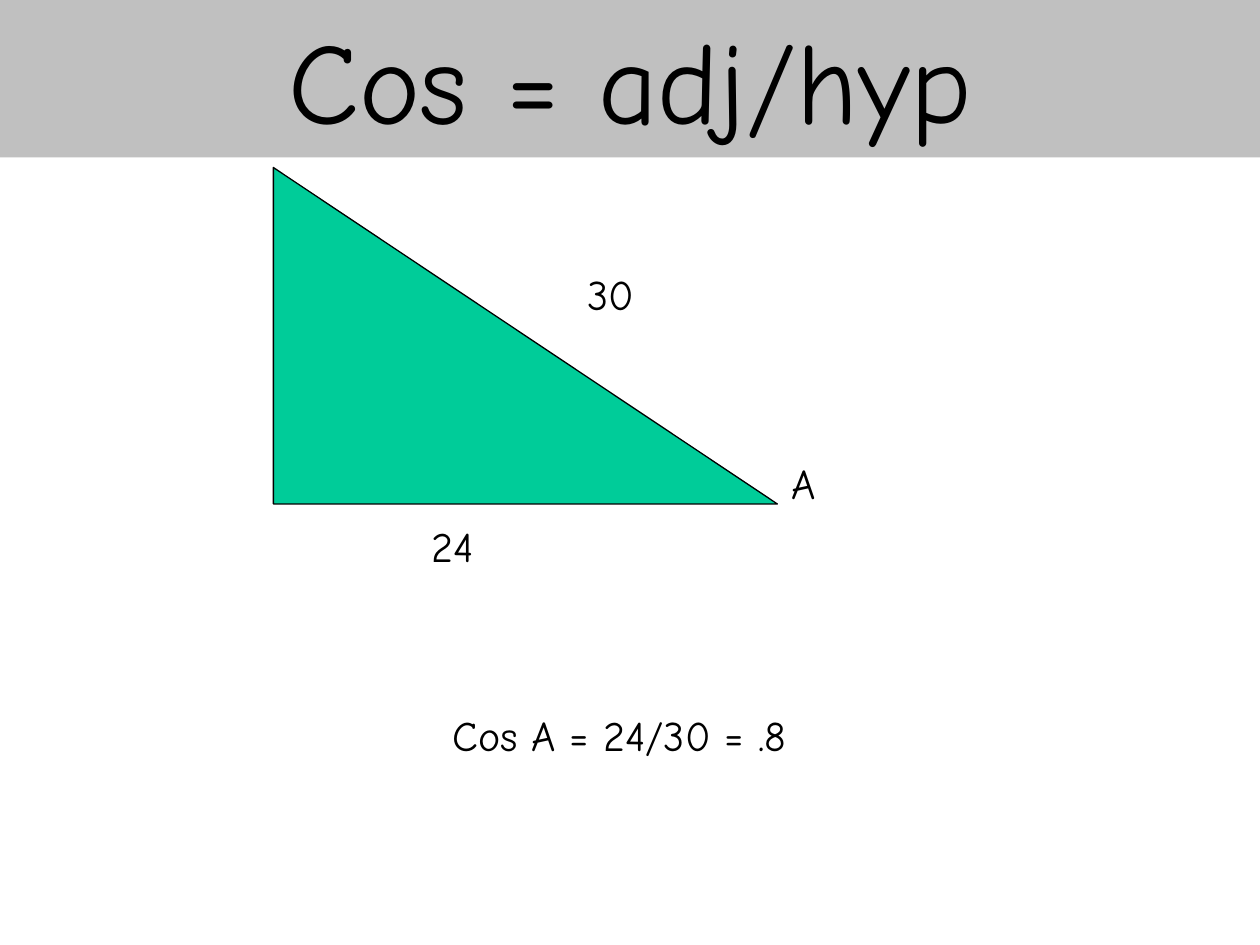
from dataclasses import dataclass

import pptx
import pptx.util
from pptx.dml.color import RGBColor
from pptx.enum.shapes import MSO_SHAPE
from pptx.enum.text import MSO_ANCHOR, PP_ALIGN
from pptx.util import Inches


@dataclass(frozen=True)
class Theme:
    font: str = "Comic Neue"
    ink: RGBColor = RGBColor(0, 0, 0)
    band: RGBColor = RGBColor(0xC0, 0xC0, 0xC0)
    green: RGBColor = RGBColor(0, 0xCC, 0x99)
    head: int = 66
    body: int = 24


THEME = Theme()


def write(frame, text, size):
    para = frame.paragraphs[0]
    para.text = text
    para.alignment = PP_ALIGN.CENTER
    para.font.name = THEME.font
    para.font.size = pptx.util.Pt(size)
    para.font.color.rgb = THEME.ink


def block(slide, kind, box, fill):
    shape = slide.shapes.add_shape(kind, *map(Inches, box))
    shape.shadow.inherit = False
    shape.fill.solid()
    shape.fill.fore_color.rgb = fill
    return shape


def label(slide, text, box):
    frame = slide.shapes.add_textbox(*map(Inches, box)).text_frame
    frame.word_wrap = True
    write(frame, text, THEME.body)


def title(slide, text, box):
    shape = block(slide, MSO_SHAPE.RECTANGLE, box, THEME.band)
    shape.line.fill.background()
    frame = shape.text_frame
    frame.word_wrap = True
    frame.vertical_anchor = MSO_ANCHOR.MIDDLE
    write(frame, text, THEME.head)


def figure(slide, box):
    """Right triangle with its side and angle labels."""
    left, top, wide, high = box
    shape = block(slide, MSO_SHAPE.RIGHT_TRIANGLE, box, THEME.green)
    shape.line.color.rgb = THEME.ink
    shape.line.width = pptx.util.Pt(0.75)
    marks = (
        ("30", 2.08, 0.75, 1.19),
        ("24", 0.83, high + 0.08, 1.19),
        ("A", wide - 0.09, 2.25, 0.6),
    )
    for text, x, y, width in marks:
        label(slide, text, (left + x, top + y, width, 0.7))


def main():
    deck = pptx.Presentation()
    deck.slide_width = Inches(10)
    deck.slide_height = Inches(7.5)
    slide = deck.slides.add_slide(deck.slide_layouts[6])
    title(slide, "Cos = adj/hyp", (0, 0, 10, 1.25))
    figure(slide, (2.17, 1.33, 4, 2.67))
    label(slide, "Cos A = 24/30 = .8", (1.08, 5.58, 7.67, 1.17))
    deck.save("out.pptx")


if __name__ == "__main__":
    main()
